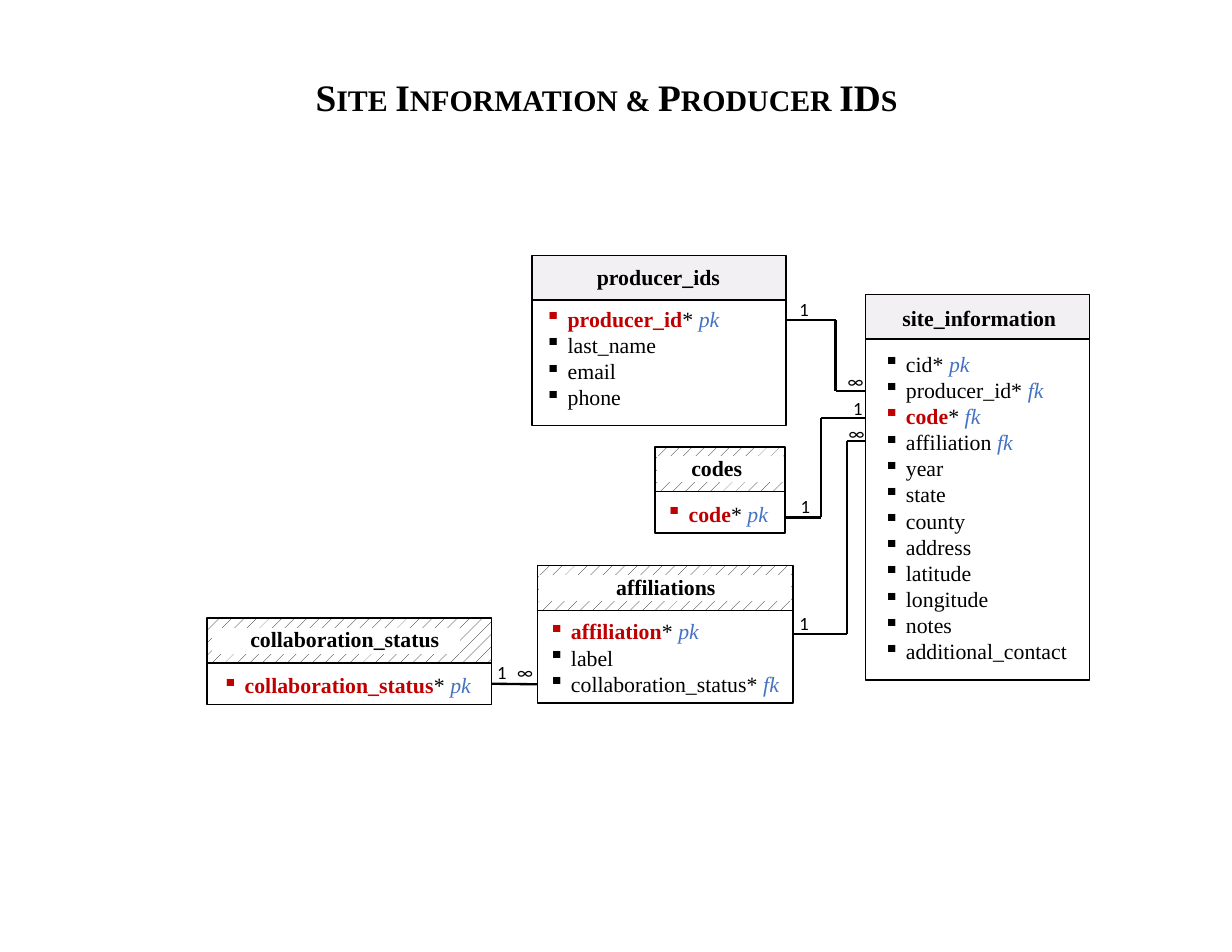
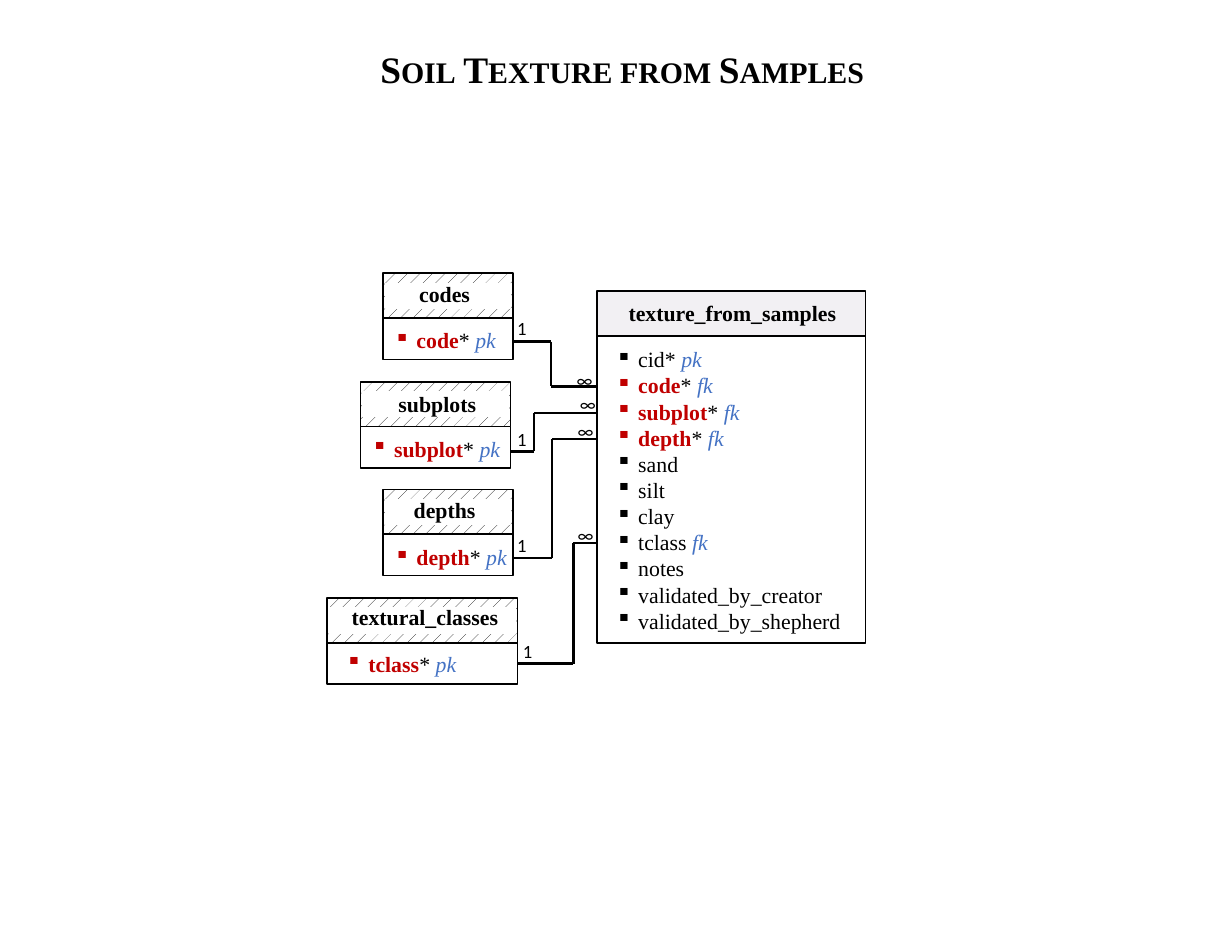
from dataclasses import dataclass

import pptx
import pptx.dml.color
import pptx.enum.dml
import pptx.enum.shapes
import pptx.enum.text
import pptx.oxml
import pptx.oxml.ns
import pptx.util

Inches = pptx.util.Inches
Pt = pptx.util.Pt
CENTER = pptx.enum.text.PP_ALIGN.CENTER

COLORS = {"ink": "000000", "paper": "FFFFFF", "header": "F2F0F3",
          "shared": "C00000", "key": "4472C4"}
SERIF, SANS = "Times New Roman", "Calibri"
HEADER_HEIGHT = 0.4
LOOKUP_BODY_HEIGHT = 0.37
LINE_HEIGHT = 0.235
RIGHT_SIDE, LEFT_SIDE = 3, 1


@dataclass
class Table:
    """heading and listing are (dx, dy, width) from the header and body corners.

    A field reads "name", "name key" or "name* key"; "!" marks a shared code.
    """
    name: str
    left: float
    top: float
    width: float
    heading: tuple
    listing: tuple
    fields: list
    body_height: float = LOOKUP_BODY_HEIGHT
    lookup: bool = True
    strip_width: float = 0
    centered: bool = False


@dataclass
class Relation:
    """A y of None means the middle of the side of the table's body."""
    source: str
    source_y: float
    bend_x: float
    target: str
    target_y: float
    labels: list


SLIDES = [
    {
        "title": ("Site Information & Producer IDs", 2.3, 0.58, 6.23, 0.56),
        "tables": [
            Table("collaboration_status", 1.85, 5.52, 2.54, (0.01, 0.02, 2.44),
                  (-0.07, 0.03, 2.63), ["!collaboration_status* pk"],
                  strip_width=2.2, centered=True),
            Table("site_information", 7.73, 2.63, 2, (0, 0.04, 2.03),
                  (0.06, 0.05, 1.85),
                  ["cid* pk", "producer_id* fk", "!code* fk", "affiliation fk",
                   "year", "state", "county", "address", "latitude",
                   "longitude", "notes", "additional_contact"],
                  body_height=3.04, lookup=False),
            Table("codes", 5.85, 3.99, 1.16, (0.15, 0.02, 0.8),
                  (0, 0.03, 1.25), ["!code* pk"]),
            Table("producer_ids", 4.75, 2.28, 2.27, (0, 0.03, 2.26),
                  (0.02, 0, 2.34),
                  ["!producer_id* pk", "last_name", "email", "phone"],
                  body_height=1.12, lookup=False),
            Table("affiliations", 4.8, 5.05, 2.28, (0.02, 0.02, 2.25),
                  (0, 0.02, 2.47),
                  ["!affiliation* pk", "label", "collaboration_status* fk"],
                  body_height=0.83),
        ],
        "relations": [
            Relation("collaboration_status", None, None, "affiliations", 6.11,
                     [("1", 4.34, 5.85), ("∞", 4.52, 5.85)]),
            Relation("producer_ids", 2.86, 7.46, "site_information", 3.49,
                     [("1", 7.04, 2.61), ("∞", 7.47, 3.25)]),
            Relation("codes", 4.62, 7.33, "site_information", 3.73,
                     [("1", 7.05, 4.37), ("1", 7.52, 3.49)]),
            Relation("affiliations", 5.66, 7.56, "site_information", 3.94,
                     [("1", 7.04, 5.41), ("∞", 7.48, 3.72)]),
        ],
    },
    {
        "title": ("Soil Texture from Samples", 2.52, 0.36, 6.07, 0.5),
        "tables": [
            Table("texture_from_samples", 5.33, 2.6, 2.4, (0.04, 0.03, 2.34),
                  (0.07, 0.04, 2.41),
                  ["cid* pk", "!code* fk", "!subplot* fk", "!depth* fk",
                   "sand", "silt", "clay", "tclass fk", "notes",
                   "validated_by_creator", "validated_by_shepherd"],
                  body_height=2.74, lookup=False),
            Table("codes", 3.42, 2.44, 1.16, (0.15, 0.02, 0.8),
                  (0, 0.03, 1.25), ["!code* pk"]),
            Table("subplots", 3.22, 3.41, 1.34, (0.22, 0.03, 0.93),
                  (0, 0.03, 1.44), ["!subplot* pk"]),
            Table("depths", 3.42, 4.37, 1.16, (0.15, 0.02, 0.8),
                  (0, 0.04, 1.25), ["!depth* pk"]),
            Table("textural_classes", 2.92, 5.34, 1.7, (0, 0, 1.75),
                  (0.07, 0.02, 1.23), ["!tclass* pk"]),
        ],
        "relations": [
            Relation("codes", 3.05, 4.92, "texture_from_samples", 3.45,
                     [("1", 4.52, 2.78), ("∞", 5.05, 3.24)]),
            Relation("subplots", 4.03, 4.77, "texture_from_samples", 3.69,
                     [("1", 4.52, 3.77), ("∞", 5.08, 3.46)]),
            Relation("depths", 4.98, 4.93, "texture_from_samples", 3.92,
                     [("1", 4.52, 4.72), ("∞", 5.06, 3.7)]),
            Relation("textural_classes", None, 5.12, "texture_from_samples", 4.85,
                     [("1", 4.57, 5.66), ("∞", 5.06, 4.63)]),
        ],
    },
]


def rgb(color):
    return pptx.dml.color.RGBColor.from_string(COLORS[color])


def add_run(paragraph, text, size=14, color="ink", bold=False, italic=False,
            font=SERIF):
    run = paragraph.add_run()
    run.text = text
    run.font.name, run.font.size = font, Pt(size)
    run.font.bold, run.font.italic = bold, italic
    run.font.color.rgb = rgb(color)
    return run


def add_text_box(slide, left, top, width, height):
    box = slide.shapes.add_textbox(*map(Inches, (left, top, width, height)))
    box.text_frame.word_wrap = True
    return box.text_frame


def add_rectangle(slide, left, top, width, height, fill="paper", line="ink"):
    rectangle = slide.shapes.add_shape(
        pptx.enum.shapes.MSO_SHAPE.RECTANGLE,
        *map(Inches, (left, top, width, height)))
    rectangle.shadow.inherit = False
    rectangle.fill.solid()
    rectangle.fill.fore_color.rgb = rgb(fill)
    rectangle.line.color.rgb = rgb(line)
    rectangle.line.width = Pt(1)
    return rectangle


def add_bullet(paragraph):
    properties = paragraph._p.get_or_add_pPr()
    properties.set("marL", str(Inches(0.2)))
    properties.set("indent", str(Inches(-0.2)))
    bullet = pptx.oxml.parse_xml(
        f'<a:buChar {pptx.oxml.ns.nsdecls("a")} char="▪"/>')
    properties.append(bullet)


def add_field(paragraph, field):
    label, _, key = field.lstrip("!").partition(" ")
    name = label.rstrip("*")
    shared = field.startswith("!")
    add_run(paragraph, name, color="shared" if shared else "ink", bold=shared)
    if key:
        add_run(paragraph, label[len(name):] + " ")
        add_run(paragraph, key, color="key", italic=True)


def add_table_box(slide, table):
    """Draw the header and the field list; return the body rectangle."""
    body_top = table.top + HEADER_HEIGHT
    body = add_rectangle(slide, table.left, body_top, table.width, table.body_height)
    header = add_rectangle(slide, table.left, table.top, table.width,
                           HEADER_HEIGHT, "header")
    if table.lookup:
        header.fill.patterned()
        header.fill.pattern = pptx.enum.dml.MSO_PATTERN.PERCENT_10
        header.fill.fore_color.rgb = rgb("ink")
        header.fill.back_color.rgb = rgb("paper")
        inset = 0.05 if table.strip_width else 0.02
        add_rectangle(slide, table.left + inset, table.top + 0.09,
                      table.strip_width or table.width - 2 * inset, 0.22,
                      line="paper")

    dx, dy, width = table.heading
    heading = add_text_box(slide, table.left + dx, table.top + dy, width, 0.34)
    heading.paragraphs[0].alignment = CENTER
    add_run(heading.paragraphs[0], table.name, bold=True)

    dx, dy, width = table.listing
    listing = add_text_box(slide, table.left + dx, body_top + dy, width,
                           0.1 + LINE_HEIGHT * len(table.fields))
    for index, field in enumerate(table.fields):
        paragraph = listing.add_paragraph() if index else listing.paragraphs[0]
        if table.centered:
            paragraph.alignment = CENTER
        add_bullet(paragraph)
        add_field(paragraph, field)
    return body


def add_line(slide, start, end):
    line = slide.shapes.add_connector(
        pptx.enum.shapes.MSO_CONNECTOR.STRAIGHT, *map(Inches, start + end))
    line.line.color.rgb = rgb("ink")
    line.line.width = Pt(1.5)
    line._element.spPr.append(
        pptx.oxml.parse_xml(f'<a:effectLst {pptx.oxml.ns.nsdecls("a")}/>'))
    return line


def add_relation(slide, relation, tables, bodies):
    source = tables[relation.source]
    start_y = relation.source_y
    if start_y is None:
        start_y = source.top + HEADER_HEIGHT + source.body_height / 2
    start = (source.left + source.width, start_y)
    end = (tables[relation.target].left, relation.target_y)
    bends = []
    if relation.bend_x is not None:
        bends = [(relation.bend_x, start_y), (relation.bend_x, relation.target_y)]
    points = [start, *bends, end]
    lines = [add_line(slide, *pair) for pair in zip(points, points[1:])]
    if relation.source_y is None:
        lines[0].begin_connect(bodies[relation.source], RIGHT_SIDE)
    for text, left, top in relation.labels:
        label = add_text_box(slide, left, top, 0.3, 0.3)
        add_run(label.paragraphs[0], text, size=12, font=SANS)


def set_title(slide, text, left, top, width, height):
    title = slide.shapes.title
    title.left, title.top, title.width, title.height = map(
        Inches, (left, top, width, height))
    title.text_frame.auto_size = pptx.enum.text.MSO_AUTO_SIZE.NONE
    paragraph = title.text_frame.paragraphs[0]
    paragraph.alignment = CENTER
    run = add_run(paragraph, text, size=24, bold=True)
    run.font._element.set("cap", "small")


def main():
    presentation = pptx.Presentation()
    presentation.slide_width, presentation.slide_height = Inches(11), Inches(8.5)
    title_only = presentation.slide_layouts[5]
    for content in SLIDES:
        slide = presentation.slides.add_slide(title_only)
        set_title(slide, *content["title"])
        tables = {table.name: table for table in content["tables"]}
        bodies = {name: add_table_box(slide, table) for name, table in tables.items()}
        for relation in content["relations"]:
            add_relation(slide, relation, tables, bodies)
    presentation.save("out.pptx")


if __name__ == "__main__":
    main()
